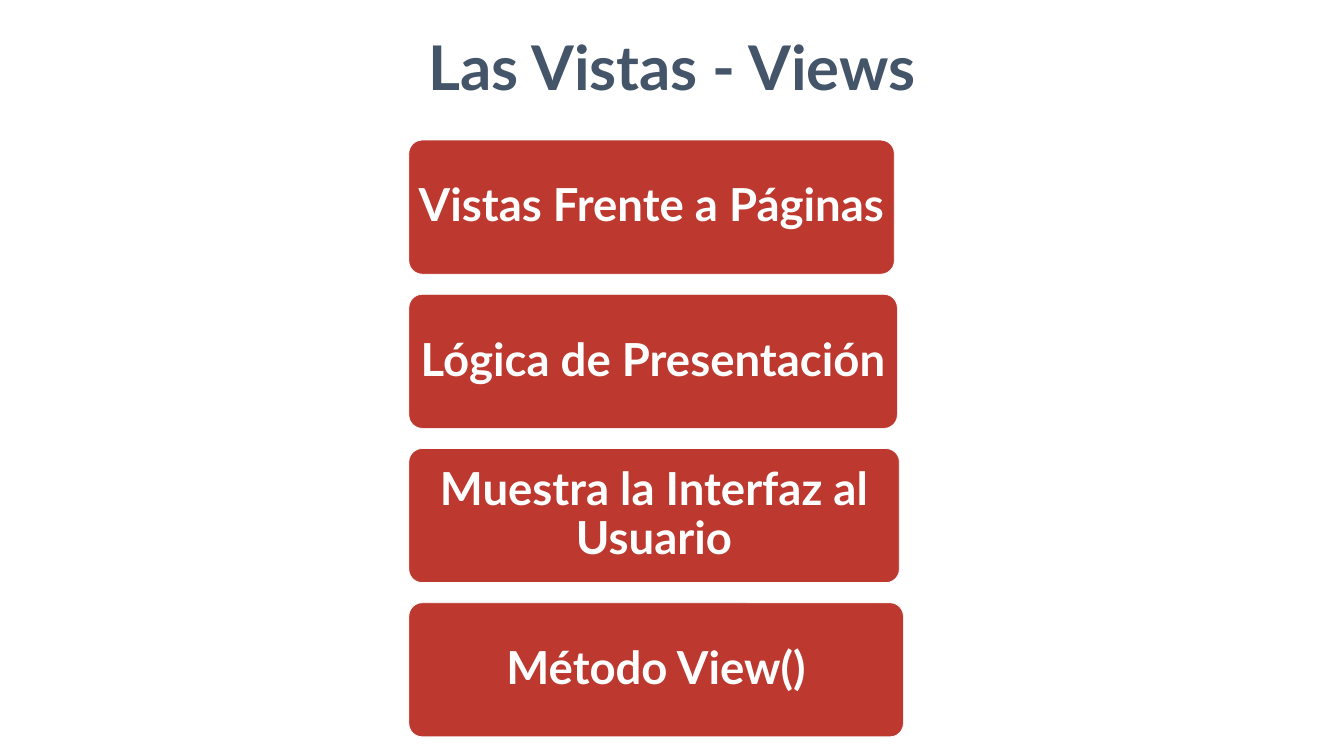
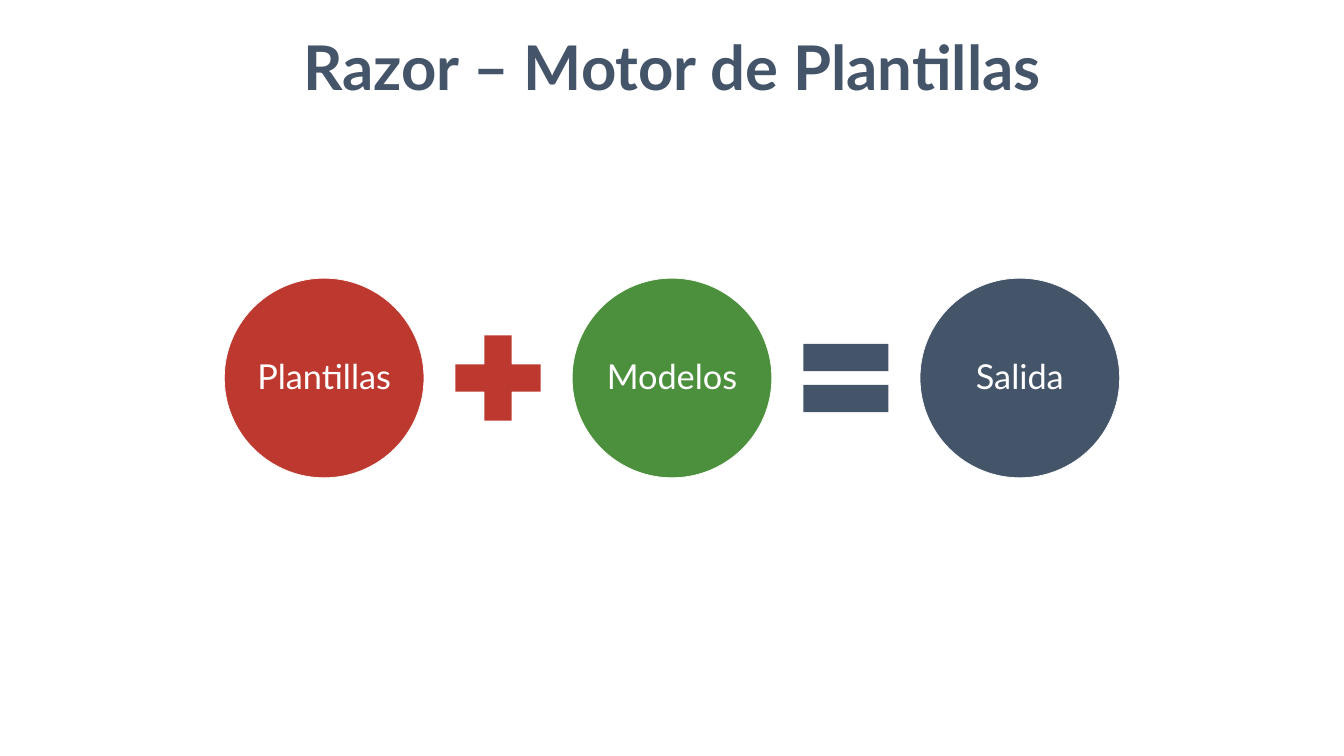
"""Build two slides on views and the template engine of an MVC web framework."""
from dataclasses import dataclass

from pptx import Presentation
from pptx.dml.color import RGBColor
from pptx.enum.shapes import MSO_SHAPE as Preset
from pptx.enum.text import MSO_ANCHOR as Anchor, MSO_AUTO_SIZE as AutoSize, PP_ALIGN as Align
from pptx.shapes.autoshape import Shape
from pptx.slide import Slide
from pptx.text.text import TextFrame
from pptx.util import Inches, Pt


@dataclass(frozen=True)
class Theme:
    font: str = "Lato"
    red: RGBColor = RGBColor(0xBD, 0x39, 0x2F)
    green: RGBColor = RGBColor(0x4C, 0x90, 0x3D)
    slate: RGBColor = RGBColor(0x44, 0x54, 0x69)
    white: RGBColor = RGBColor(0xFF, 0xFF, 0xFF)
    title_size: int = 88
    card_size: int = 65
    circle_size: int = 49


@dataclass(frozen=True)
class Card:
    label: str
    width: float


@dataclass(frozen=True)
class Term:
    preset: Preset
    size: float
    color: RGBColor
    label: str = ""


THEME = Theme()
SLIDE_WIDTH, SLIDE_HEIGHT = 26.66, 15
CARD_LEFT, CARD_TOP, CARD_HEIGHT, CARD_PITCH = 8.11, 2.78, 2.66, 3.06
CIRCLE_SIZE, OPERATOR_SIZE, TERM_GAP = 3.96, 2.3, 0.32

CARDS = [
    Card("Vistas Frente a Páginas", 9.63),
    Card("Lógica de Presentación", 9.69),
    Card("Muestra la Interfaz al Usuario", 9.73),
    Card("Método View()", 9.81),
]
EQUATION = [
    Term(Preset.OVAL, CIRCLE_SIZE, THEME.red, "Plantillas"),
    Term(Preset.MATH_PLUS, OPERATOR_SIZE, THEME.red),
    Term(Preset.OVAL, CIRCLE_SIZE, THEME.green, "Modelos"),
    Term(Preset.MATH_EQUAL, OPERATOR_SIZE, THEME.slate),
    Term(Preset.OVAL, CIRCLE_SIZE, THEME.slate, "Salida"),
]


def write_centred(frame: TextFrame, text: str, size: int, color: RGBColor, bold: bool) -> None:
    frame.word_wrap = True
    paragraph = frame.paragraphs[0]
    paragraph.alignment = Align.CENTER
    run = paragraph.add_run()
    run.text = text
    run.font.name = THEME.font
    run.font.size = Pt(size)
    run.font.bold = bold
    run.font.color.rgb = color


def add_titled_slide(deck: Presentation, title: str) -> Slide:
    slide = deck.slides.add_slide(deck.slide_layouts[6])
    heading = slide.shapes.add_textbox(0, Inches(0.53), Inches(SLIDE_WIDTH), Inches(1.58))
    write_centred(heading.text_frame, title, THEME.title_size, THEME.slate, True)
    heading.text_frame.auto_size = AutoSize.SHAPE_TO_FIT_TEXT
    return slide


def add_filled(slide: Slide, preset: Preset, left: float, top: float,
               width: float, height: float, color: RGBColor) -> Shape:
    shape = slide.shapes.add_shape(preset, Inches(left), Inches(top), Inches(width), Inches(height))
    shape.shadow.inherit = False
    shape.fill.solid()
    shape.fill.fore_color.rgb = color
    shape.line.fill.background()
    return shape


def add_label(shape: Shape, text: str, size: int, inset: float, bold: bool) -> None:
    shape.line.color.rgb = THEME.white
    shape.line.width = Pt(1)
    frame = shape.text_frame
    frame.vertical_anchor = Anchor.MIDDLE
    frame.margin_left = frame.margin_right = Inches(inset)
    frame.margin_top = frame.margin_bottom = Inches(inset)
    write_centred(frame, text, size, THEME.white, bold)
    frame.paragraphs[0].line_spacing = 0.9


def build_views(deck: Presentation) -> None:
    slide = add_titled_slide(deck, "Las Vistas - Views")
    for row, card in enumerate(CARDS):
        panel = add_filled(slide, Preset.ROUNDED_RECTANGLE, CARD_LEFT, CARD_TOP + row * CARD_PITCH,
                           card.width, CARD_HEIGHT, THEME.red)
        panel.adjustments[0] = 0.1
        add_label(panel, card.label, THEME.card_size, 0.05, True)


def build_engine(deck: Presentation) -> None:
    slide = add_titled_slide(deck, "Razor – Motor de Plantillas")
    total = sum(term.size for term in EQUATION) + TERM_GAP * (len(EQUATION) - 1)
    left = (SLIDE_WIDTH - total) / 2
    for term in EQUATION:
        symbol = add_filled(slide, term.preset, left, (SLIDE_HEIGHT - term.size) / 2,
                            term.size, term.size, term.color)
        if term.label:
            add_label(symbol, term.label, THEME.circle_size, 0.07, False)
        left += term.size + TERM_GAP


def main() -> None:
    deck = Presentation()
    deck.slide_width, deck.slide_height = Inches(SLIDE_WIDTH), Inches(SLIDE_HEIGHT)
    build_views(deck)
    build_engine(deck)
    deck.save("out.pptx")


if __name__ == "__main__":
    main()
